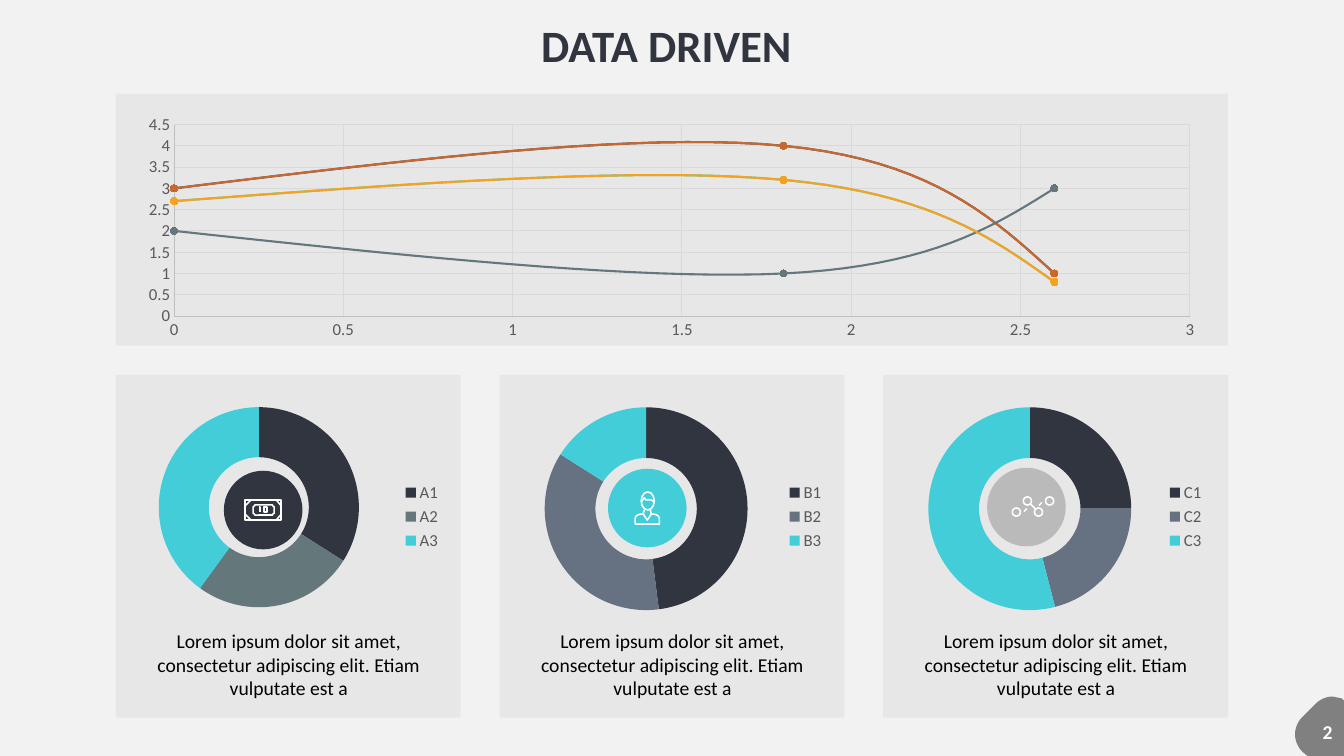
from math import cos, pi, sin
from lxml.etree import SubElement
from pptx import Presentation
from pptx.chart.data import CategoryChartData, XyChartData
from pptx.dml.color import RGBColor
from pptx.enum.chart import XL_CHART_TYPE, XL_LEGEND_POSITION, XL_MARKER_STYLE, XL_TICK_MARK
from pptx.enum.shapes import MSO_CONNECTOR, MSO_SHAPE
from pptx.enum.text import MSO_ANCHOR, PP_ALIGN
from pptx.oxml.ns import qn
from pptx.util import Inches, Pt

NAVY = RGBColor(0x30, 0x35, 0x3F)
SAGE = RGBColor(0x64, 0x77, 0x7B)
SLATE = RGBColor(0x66, 0x71, 0x81)
CYAN = RGBColor(0x43, 0xCD, 0xD9)
AMBER = RGBColor(0xF6, 0xA2, 0x1D)
RUST = RGBColor(0xC9, 0x67, 0x31)
DUSK = RGBColor(0x34, 0x43, 0x57)
SILVER = RGBColor(0xBA, 0xBA, 0xBA)
PANEL = RGBColor(0xCF, 0xCF, 0xCF)
GREY = RGBColor(0x80, 0x80, 0x80)
LABEL = RGBColor(0x59, 0x59, 0x59)
AXIS = RGBColor(0xBF, 0xBF, 0xBF)
GRID = RGBColor(0xD9, 0xD9, 0xD9)
PAPER = RGBColor(0xF2, 0xF2, 0xF2)
WHITE = RGBColor(0xFF, 0xFF, 0xFF)
BLACK = RGBColor(0, 0, 0)
FONT = "Calibri"

# Content
TITLE = "DATA DRIVEN"
CAPTION = "Lorem ipsum dolor sit amet, consectetur adipiscing elit. Etiam vulputate est a"
X_VALUES = (0, 1.8, 2.6)
CURVES = [
    ("Series 1", (2.7, 3.2, 0.8), AMBER),
    ("Series 2", (2, 1, 3), SAGE),
    ("Series 3", (3, 4, 1), RUST),
    ("Series 4", (2.7, 3.2, 0.8), CYAN),
    ("Series 5", (3, 4, 1), DUSK),
]
# letter, shares, slice colours, hub colour, hub left and top, plot layout, legend left
RINGS = [
    ("A", (34, 26, 40), (NAVY, SAGE, CYAN), NAVY, (2.22, 4.67), (0.126, 0.061, 0.578, 0.867), 0.82),
    ("B", (48, 36, 16), (NAVY, SLATE, CYAN), CYAN, (6.03, 4.65), (0.133, 0.061, 0.585, 0.88), 0.82),
    ("C", (25, 21, 54), (NAVY, SLATE, CYAN), SILVER, (9.79, 4.64), (0.133, 0.061, 0.585, 0.88), 0.81),
]
CARD_LEFT, CARD_PITCH, CARD_TOP, CARD_WIDTH, CARD_HEIGHT = 1.15, 3.805, 3.72, 3.42, 3.4

deck = Presentation()
deck.slide_width, deck.slide_height = Inches(13.33), Inches(7.5)
page = deck.slides.add_slide(deck.slide_layouts[5])
page.background.fill.solid()
page.background.fill.fore_color.rgb = PAPER


def inches(*values):
    return [Inches(value) for value in values]


def write(box, text, size=14, color=BLACK, bold=False, align=PP_ALIGN.CENTER, wrap=True, inset=(0, 0)):
    frame = box.text_frame
    frame.word_wrap = wrap
    frame.vertical_anchor = MSO_ANCHOR.TOP
    frame.margin_left = frame.margin_right = Inches(inset[0])
    frame.margin_top = frame.margin_bottom = Inches(inset[1])
    para = frame.paragraphs[0]
    para.alignment = align
    span = para.add_run()
    span.text = text
    span.font.name, span.font.size, span.font.bold = FONT, Pt(size), bold
    span.font.color.rgb = color


def paint(shape, fill=None, line=None, alpha=None):
    shape.shadow.inherit = False
    if fill is None:
        shape.fill.background()
    else:
        shape.fill.solid()
        shape.fill.fore_color.rgb = fill
    if alpha:
        tint = shape.fill._xPr.find(qn("a:solidFill"))[0]
        SubElement(tint, qn("a:alpha")).set("val", str(alpha * 1000))
    if line is None:
        shape.line.fill.background()
    else:
        shape.line.color.rgb, shape.line.width = line, Pt(1.1)


def add_preset(kind, left, top, width, height, **style):
    paint(page.shapes.add_shape(kind, *inches(left, top, width, height)), **style)


def add_outline(*contours, close=False, **style):
    builder = page.shapes.build_freeform(*inches(*contours[0][0]))
    for i, (start, *rest) in enumerate(contours):
        if i:
            builder.move_to(*inches(*start))
        builder.add_line_segments([inches(*point) for point in rest], close=close)
    paint(builder.convert_to_shape(), **style)


def add_link(start, end):
    link = page.shapes.add_connector(MSO_CONNECTOR.STRAIGHT, *inches(*start, *end))
    link.line.color.rgb, link.line.width = WHITE, Pt(1.1)
    SubElement(link._element.spPr, qn("a:effectLst"))


def bezier(a, b, c, d, steps=12):
    """Points along a cubic curve."""
    ts = [i / steps for i in range(steps + 1)]
    return [tuple((1 - t) ** 3 * p + 3 * t * (1 - t) ** 2 * q + 3 * t * t * (1 - t) * r + t ** 3 * s
                  for p, q, r, s in zip(a, b, c, d)) for t in ts]


def style_font(font, size, color):
    font.name, font.size, font.color.rgb = FONT, Pt(size), color


def add_chart(kind, data, *frame):
    chart = page.shapes.add_chart(kind, *inches(*frame), data).chart
    chart.has_title = False
    style_font(chart.font, 10, BLACK)
    return chart


def place(part, index, **settings):
    """Give a chart part a manual layout, as its child at the index."""
    for old in part.findall(qn("c:layout")):
        part.remove(old)
    holder = SubElement(part, qn("c:layout"))
    part.insert(index, holder)
    manual = SubElement(holder, qn("c:manualLayout"))
    for tag, value in settings.items():
        SubElement(manual, qn(f"c:{tag}")).set("val", str(value))


def add_curves():
    data = XyChartData()
    for name, values, _ in CURVES:
        series = data.add_series(name)
        for x, y in zip(X_VALUES, values):
            series.add_data_point(x, y)
    chart = add_chart(XL_CHART_TYPE.XY_SCATTER_SMOOTH, data, 1.26, 1.09, 10.8, 2.33)
    chart.has_legend = False
    chart.plots[0].vary_by_categories = False
    for axis, top in ((chart.category_axis, 3), (chart.value_axis, 4.5)):
        axis.minimum_scale, axis.maximum_scale, axis.major_unit = 0, top, 0.5
        axis.major_tick_mark = axis.minor_tick_mark = XL_TICK_MARK.NONE
        axis.has_major_gridlines = True
        style_font(axis.tick_labels.font, 12, LABEL)
        axis.tick_labels.number_format = "General"
        axis.tick_labels.number_format_is_linked = False
        for line, color in ((axis.format.line, AXIS), (axis.major_gridlines.format.line, GRID)):
            line.color.rgb, line.width = color, Pt(0.75)
    for series, (_, _, color) in zip(chart.plots[0].series, CURVES):
        series.format.line.color.rgb, series.format.line.width = color, Pt(1.5)
        series.marker.style, series.marker.size = XL_MARKER_STYLE.CIRCLE, 5
        series.marker.format.fill.solid()
        series.marker.format.fill.fore_color.rgb = color
        series.marker.format.line.color.rgb = color
        for old in series._element.findall(qn("c:smooth")):
            series._element.remove(old)
        SubElement(series._element, qn("c:smooth")).set("val", "1")


def add_ring(left, letter, shares, colors, layout, legend_left):
    data = CategoryChartData()
    data.categories = [f"{letter}{i}" for i in (1, 2, 3)]
    data.add_series("Series 1", shares)
    chart = add_chart(XL_CHART_TYPE.DOUGHNUT, data, left, 3.9, 3.44, 2.29)
    chart.has_legend = True
    chart.legend.position, chart.legend.include_in_layout = XL_LEGEND_POSITION.RIGHT, False
    style_font(chart.legend.font, 12, LABEL)
    for i, color in enumerate(colors):
        fill = chart.plots[0].series[0].points[i].format.fill
        fill.solid()
        fill.fore_color.rgb = color
    area = chart._chartSpace.chart.plotArea
    next(area.iter(qn("c:holeSize"))).set("val", "75")
    x, y, w, h = layout
    place(area, 0, layoutTarget="inner", xMode="edge", yMode="edge", x=x, y=y, w=w, h=h)
    place(chart.legend._element, 1, xMode="edge", yMode="edge", x=legend_left, y=0.37, w=0.13, h=0.33)


def draw_banknote():
    add_preset(MSO_SHAPE.RECTANGLE, 2.43, 4.96, 0.36, 0.2, line=WHITE)
    add_preset(MSO_SHAPE.PLAQUE, 2.51, 5.01, 0.21, 0.1, line=WHITE)
    add_preset(MSO_SHAPE.RECTANGLE, 2.62, 5.03, 0.03, 0.05, line=WHITE)
    add_outline([(2.57, 5.03), (2.58, 5.03), (2.58, 5.08)], line=WHITE)
    for edge, inner in ((2.43, 2.49), (2.79, 2.74)):
        for side, middle in ((4.96, 5.02), (5.16, 5.1)):
            add_link((edge, middle), (inner, side))


def draw_person():
    add_preset(MSO_SHAPE.OVAL, 6.36, 4.88, 0.13, 0.18, line=WHITE)
    add_outline([(6.36, 4.98), (6.39, 4.94), (6.41, 4.96), (6.46, 4.96), (6.49, 4.98)], line=WHITE)
    right = [(6.45, 5.06), *bezier((6.46, 5.1), (6.5, 5.1), (6.54, 5.11), (6.54, 5.15)), (6.54, 5.2)]
    left = [(12.84 - x, y) for x, y in reversed(right)]
    add_outline(right + left, line=WHITE)
    add_outline([(6.38, 5.1), (6.42, 5.16), (6.46, 5.1)], line=WHITE)


def draw_trend():
    nodes = [(10.08 + 0.11 * i, 4.97 if i % 2 else 5.08) for i in range(4)]
    turns = [2 * pi * i / 24 for i in range(25)]
    rings = [[(x + 0.04 * cos(turn), y + 0.04 * sin(turn)) for turn in turns] for x, y in nodes]
    add_outline(*rings, [(10.22, 5), (10.27, 5.05)], line=WHITE)
    for left, top in ((10.15, 5.04), (10.3, 4.98)):
        dash = [(0.03, 0), (0.04, 0.01), (0.01, 0.04), (0, 0.03)]
        add_outline([(left + x, top + y) for x, y in dash], close=True, fill=WHITE)


# Title
title = page.shapes.title
title.left, title.top, title.width, title.height = inches(5.11, 0.18, 3, 0.54)
write(title, TITLE, size=32, color=NAVY, bold=True, wrap=False)

# Curves panel
add_preset(MSO_SHAPE.RECTANGLE, CARD_LEFT, 0.93, 11.03, 2.5, fill=PANEL, alpha=30)
add_curves()

# Ring cards
for i, (letter, shares, colors, hub, corner, layout, legend_left) in enumerate(RINGS):
    card = CARD_LEFT + i * CARD_PITCH
    add_preset(MSO_SHAPE.RECTANGLE, card, CARD_TOP, CARD_WIDTH, CARD_HEIGHT, fill=PANEL, alpha=30)
    add_ring(card - 0.01, letter, shares, colors, layout, legend_left)
    add_preset(MSO_SHAPE.OVAL, *corner, 0.78, 0.78, fill=hub)
    (draw_banknote, draw_person, draw_trend)[i]()
    write(page.shapes.add_textbox(*inches(card + 0.25, 6.24, 2.93, 0.71)), CAPTION)

# Page number tab
add_outline([(13.33, 7.5), (12.97, 7.5),
             *bezier((12.92, 7.46), (12.82, 7.36), (12.82, 7.21), (12.92, 7.11)),
             *bezier((13.04, 6.99), (13.09, 6.94), (13.15, 6.91), (13.22, 6.91)),
             (13.31, 6.93), (13.33, 6.95)], close=True, fill=GREY)
write(page.shapes.add_textbox(*inches(13.02, 7.09, 0.3, 0.34)), "2", color=WHITE, bold=True,
      align=PP_ALIGN.LEFT, wrap=False, inset=(0.1, 0.05))

deck.save("out.pptx")
